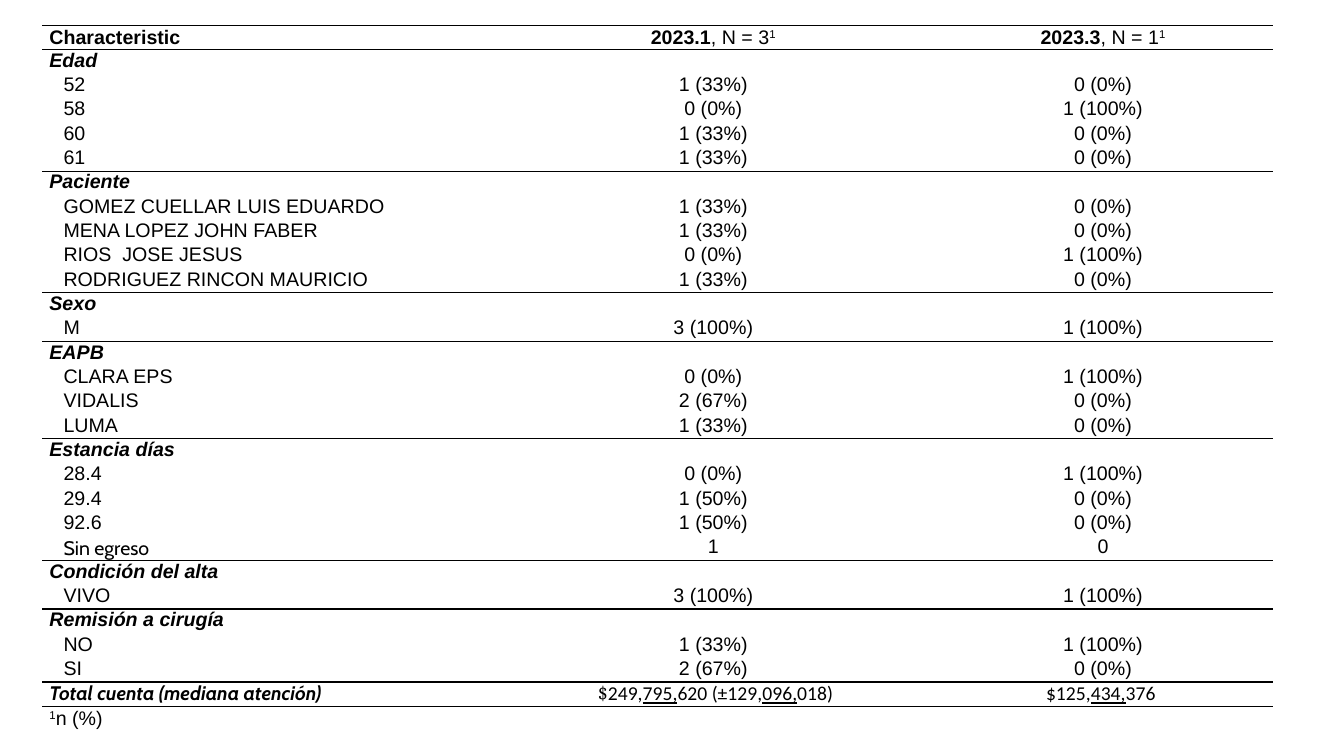
from dataclasses import dataclass

from lxml import etree
from pptx import Presentation, util as u
from pptx.dml.color import RGBColor
from pptx.enum import text
from pptx.oxml import ns


@dataclass(frozen=True)
class Theme:
    ink: str = "000000"
    paper: str = "FFFFFF"
    main: str = "Arial"
    accent: str = "Cabin"
    currency: str = "Cambria"
    money: str = "Calibri"
    size: int = 14
    rule: float = 1
    no_grid: str = "{2D5ABB26-0587-4C30-8999-92F81FD0307C}"


THEME = Theme()

# Grid, in inches
LEFT, TOP = 0.42, 0.25
COLUMNS = (4.48, 4.35, 3.38)
TABLE_HEIGHT = 7.01
HEADING_INDENT, LEVEL_INDENT = 0.07, 0.21

# Content: each characteristic with its levels
THIRD, HALF, TWO_THIRDS = "1 (33%)", "1 (50%)", "2 (67%)"
NONE, ONE_ALL, THREE_ALL = "0 (0%)", "1 (100%)", "3 (100%)"
CHARACTERISTICS = [
    ("Edad", [("52", THIRD, NONE), ("58", NONE, ONE_ALL),
              ("60", THIRD, NONE), ("61", THIRD, NONE)]),
    ("Paciente", [("GOMEZ CUELLAR LUIS EDUARDO", THIRD, NONE),
                  ("MENA LOPEZ JOHN FABER", THIRD, NONE),
                  ("RIOS  JOSE JESUS", NONE, ONE_ALL),
                  ("RODRIGUEZ RINCON MAURICIO", THIRD, NONE)]),
    ("Sexo", [("M", THREE_ALL, ONE_ALL)]),
    ("EAPB", [("CLARA EPS", NONE, ONE_ALL), ("VIDALIS", TWO_THIRDS, NONE),
              ("LUMA", THIRD, NONE)]),
    ("Estancia días", [("28.4", NONE, ONE_ALL), ("29.4", HALF, NONE),
                       ("92.6", HALF, NONE), ("Sin egreso", "1", "0")]),
    ("Condición del alta", [("VIVO", THREE_ALL, ONE_ALL)]),
    ("Remisión a cirugía", [("NO", THIRD, ONE_ALL), ("SI", TWO_THIRDS, NONE)]),
]
PERIODS = [("2023.1", ", N = 3"), ("2023.3", ", N = 1")]
TOTAL = "Total cuenta (mediana atención)"
UNDERLINED = {"underline": True}
TOTAL_2023_1 = [(" $", {"name": THEME.currency}), ("249,", {}), ("795,", UNDERLINED),
                ("620 (±129,", {}), ("096,", UNDERLINED), ("018)", {})]
TOTAL_2023_3 = [("$125,", {}), ("434,", UNDERLINED), ("376 ", {})]


def style_font(font, **looks):
    for key, value in looks.items():
        setattr(font, key, value)


def raise_mark(run):
    run.font._element.set("baseline", "30000")


def write(cell, runs, indent=HEADING_INDENT, centred=False, font=THEME.main, **looks):
    """Write a string, or (text, font settings) pairs, in one paragraph."""
    line = cell.text_frame.paragraphs[0]
    properties = line._p.get_or_add_pPr()
    for side in ("marL", "marR"):
        properties.set(side, str(u.Inches(indent if side == "marL" else HEADING_INDENT)))
    properties.set("indent", "0")
    if centred:
        line.alignment = text.PP_ALIGN.CENTER
    style_font(line.font, name=font, size=u.Pt(THEME.size), **looks)
    line.font.color.rgb = RGBColor.from_string(THEME.ink)
    for words, own in ([(runs, {})] if isinstance(runs, str) else runs):
        run = line.add_run()
        run.text = words
        own = dict(own)
        raised = own.pop("raised", False)
        style_font(run.font, **own)
        if raised:
            raise_mark(run)


def format_cell(cell, above, below):
    """Clear margins, draw the rules, fill, and keep an empty line small."""
    cell.margin_left = cell.margin_right = cell.margin_top = cell.margin_bottom = 0
    properties = cell._tc.get_or_add_tcPr()
    for side, ruled in (("L", False), ("R", False), ("T", above), ("B", below)):
        edge = etree.SubElement(properties, ns.qn(f"a:ln{side}"))
        if ruled:
            edge.set("w", str(u.Pt(THEME.rule)))
            paint = etree.SubElement(edge, ns.qn("a:solidFill"))
            etree.SubElement(paint, ns.qn("a:srgbClr"), val=THEME.ink)
        else:
            etree.SubElement(edge, ns.qn("a:noFill"))
    cell.fill.solid()
    cell.fill.fore_color.rgb = RGBColor.from_string(THEME.paper)
    line = cell.text_frame.paragraphs[0]
    if not line.runs:
        etree.SubElement(line._p, ns.qn("a:endParaRPr"), sz=str(THEME.size * 100))


def add_grid(slide, row_count):
    frame = slide.shapes.add_table(row_count, len(COLUMNS), u.Inches(LEFT), u.Inches(TOP),
                                   u.Inches(sum(COLUMNS)), u.Inches(TABLE_HEIGHT))
    summary = frame.table
    summary.first_row = summary.horz_banding = False
    summary._tbl.tblPr.find(ns.qn("a:tableStyleId")).text = THEME.no_grid
    for column, width in zip(summary.columns, COLUMNS):
        column.width = u.Inches(width)
    for row in summary.rows:
        row.height = u.Inches(TABLE_HEIGHT / row_count)
    return summary


def write_header(summary):
    write(summary.cell(0, 0), "Characteristic", bold=True)
    for column, (period, count) in enumerate(PERIODS, 1):
        write(summary.cell(0, column),
              [(period, {"bold": True}), (count, {}), ("1", {"raised": True})], centred=True)
    for column in range(len(COLUMNS)):
        summary.cell(0, column).vertical_anchor = text.MSO_ANCHOR.MIDDLE


def write_characteristics(summary):
    """Fill the groups and return the rows that start one."""
    row, starts = 1, []
    for heading, levels in CHARACTERISTICS:
        starts.append(row)
        write(summary.cell(row, 0), heading, bold=True, italic=True)
        for row, (level, *counts) in enumerate(levels, row + 1):
            font = THEME.accent if level == "Sin egreso" else THEME.main
            write(summary.cell(row, 0), level, LEVEL_INDENT, font=font)
            for column, count in enumerate(counts, 1):
                write(summary.cell(row, column), count, centred=True)
        row += 1
    return starts


def write_total_and_note(summary, total_row):
    write(summary.cell(total_row, 0), TOTAL, font=THEME.accent, bold=True, italic=True)
    for column, amount in enumerate((TOTAL_2023_1, TOTAL_2023_3), 1):
        write(summary.cell(total_row, column), amount, centred=True, font=THEME.money)
    note = summary.cell(total_row + 1, 0)
    note.merge(summary.cell(total_row + 1, len(COLUMNS) - 1))
    note.vertical_anchor = text.MSO_ANCHOR.MIDDLE
    write(note, [("1", {"raised": True}), ("n (%)", {})])


def main():
    deck = Presentation()
    deck.slide_width, deck.slide_height = u.Inches(13.33), u.Inches(7.5)
    slide = deck.slides.add_slide(deck.slide_layouts[6])

    # Header, groups, total and footnote
    row_count = 3 + sum(1 + len(levels) for _, levels in CHARACTERISTICS)
    total_row = row_count - 2
    summary = add_grid(slide, row_count)
    write_header(summary)
    starts = write_characteristics(summary)
    write_total_and_note(summary, total_row)

    # Rules above the header, each group, the total and the footnote
    ruled = {0, *starts, total_row, total_row + 1}
    for row in range(row_count):
        for column in range(len(COLUMNS)):
            format_cell(summary.cell(row, column), row in ruled, row + 1 in ruled)

    deck.save("out.pptx")


if __name__ == "__main__":
    main()
